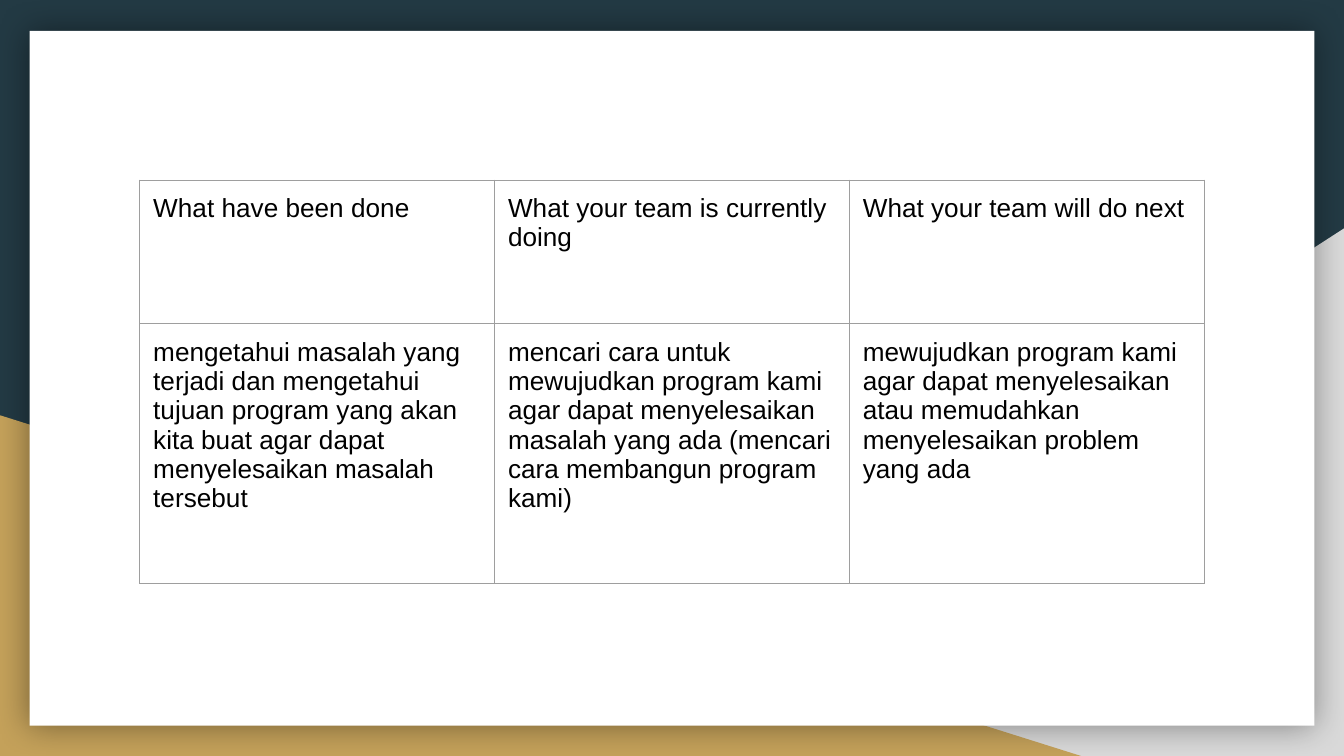
import pptx
import pptx.util
import pptx.oxml
import pptx.oxml.ns
import pptx.dml.color
import pptx.enum.shapes

Inches = pptx.util.Inches
Pt = pptx.util.Pt
SHAPES = pptx.enum.shapes.MSO_SHAPE

COLORS = {
    "backdrop": "233A44",
    "grey": "D9D9D9",
    "gold": "C4A15A",
    "paper": "FFFFFF",
    "ink": "000000",
    "border": "9E9E9E",
}
CELL_FORMAT = {
    "margin_left": Inches(0.1),
    "margin_right": Inches(0.1),
    "margin_top": Inches(0.1),
    "margin_bottom": Inches(0.1),
}
FONT_FORMAT = {"name": "Arial", "size": Pt(14), "bold": False}
PLAIN_TABLE = {"first_row": False, "horz_banding": False}

PROGRESS = [
    [
        "What have been done",
        "What your team is currently doing",
        "What your team will do next",
    ],
    [
        "mengetahui masalah yang terjadi dan mengetahui tujuan program yang akan "
        "kita buat agar dapat menyelesaikan masalah tersebut",
        "mencari cara untuk mewujudkan program kami agar dapat menyelesaikan "
        "masalah yang ada (mencari cara membangun program kami)",
        "mewujudkan program kami agar dapat menyelesaikan atau memudahkan "
        "menyelesaikan problem yang ada",
    ],
]


def rgb(color):
    return pptx.dml.color.RGBColor.from_string(COLORS[color])


def apply_format(target, values):
    for name, value in values.items():
        setattr(target, name, value)


class SlideBuilder:
    def __init__(self, slide):
        self.slide = slide

    def background(self, color):
        fill = self.slide.background.fill
        fill.solid()
        fill.fore_color.rgb = rgb(color)

    def panel(self, kind, box, color, mirrored=False):
        shape = self.slide.shapes.add_shape(kind, *map(Inches, box))
        shape.shadow.inherit = False
        shape.fill.solid()
        shape.fill.fore_color.rgb = rgb(color)
        shape.line.fill.background()
        if mirrored:
            shape.element.spPr.get_or_add_xfrm().set("flipH", "1")
        return shape

    def glow_shadow(self, shape, blur, opacity):
        """Add an even shadow on all sides; opacity is a percentage."""
        effects = shape.element.spPr.find(pptx.oxml.ns.qn("a:effectLst"))
        effects.append(pptx.oxml.parse_xml(
            f'<a:outerShdw {pptx.oxml.ns.nsdecls("a")} blurRad="{Pt(blur)}" '
            f'dist="0" dir="0" algn="ctr" rotWithShape="0">'
            f'<a:srgbClr val="{COLORS["ink"]}"><a:alpha val="{opacity * 1000}"/>'
            f'</a:srgbClr></a:outerShdw>'))

    def cell_borders(self, cell, width):
        properties = cell._tc.get_or_add_tcPr()
        for position, side in enumerate("LRTB"):
            properties.insert(position, pptx.oxml.parse_xml(
                f'<a:ln{side} {pptx.oxml.ns.nsdecls("a")} w="{Pt(width)}">'
                f'<a:solidFill><a:srgbClr val="{COLORS["border"]}"/></a:solidFill>'
                f'</a:ln{side}>'))

    def table(self, left, top, column_width, row_heights, texts):
        columns = len(texts[0])
        table = self.slide.shapes.add_table(
            len(texts), columns, Inches(left), Inches(top),
            Inches(column_width * columns), Inches(sum(row_heights))).table
        apply_format(table, PLAIN_TABLE)
        for column in table.columns:
            column.width = Inches(column_width)
        for row, height, row_texts in zip(table.rows, row_heights, texts):
            row.height = Inches(height)
            for cell, text in zip(row.cells, row_texts):
                cell.text = text
                apply_format(cell, CELL_FORMAT)
                cell.fill.background()
                self.cell_borders(cell, 0.75)
                font = cell.text_frame.paragraphs[0].runs[0].font
                apply_format(font, FONT_FORMAT)
                font.color.rgb = rgb("ink")


def main():
    deck = pptx.Presentation()
    deck.slide_width = Inches(10)
    deck.slide_height = deck.slide_width * 9 // 16
    builder = SlideBuilder(deck.slides.add_slide(deck.slide_layouts[6]))

    builder.background("backdrop")
    builder.panel(SHAPES.RIGHT_TRIANGLE, (3.92, 1.7, 6.08, 3.93), "grey", mirrored=True)
    builder.panel(SHAPES.RIGHT_TRIANGLE, (0, 3.09, 8.06, 2.54), "gold")
    paper = builder.panel(SHAPES.RECTANGLE, (0.22, 0.23, 9.56, 5.17), "paper")
    builder.glow_shadow(paper, blur=18, opacity=40)
    builder.table(1.04, 1.34, 2.64, (1.07, 1.93), PROGRESS)

    deck.save("out.pptx")


if __name__ == "__main__":
    main()
